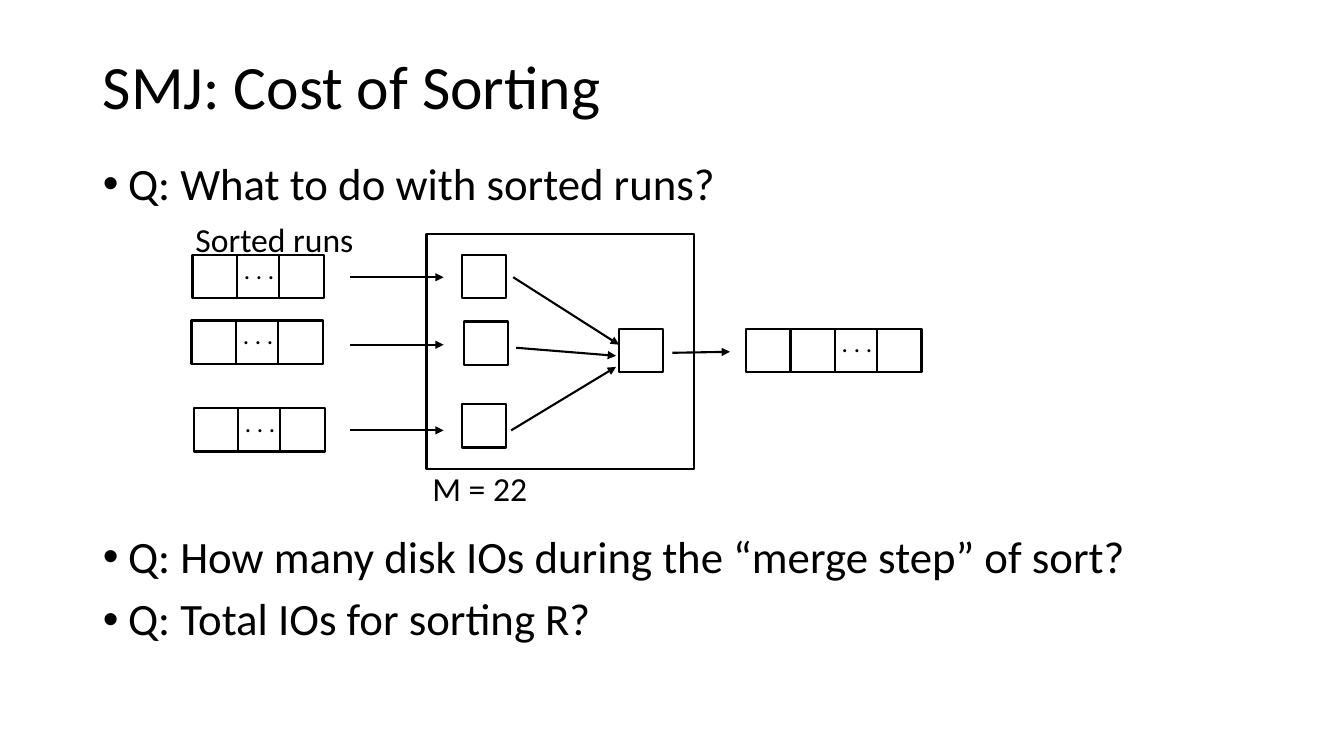
"""Build the slide on the cost of sorting in a sort-merge join."""
from dataclasses import dataclass

from lxml.etree import SubElement
from pptx import Presentation
from pptx.dml.color import RGBColor
from pptx.enum.shapes import MSO_CONNECTOR as Conn, MSO_SHAPE as Shape
from pptx.enum.text import MSO_ANCHOR as Anchor, MSO_AUTO_SIZE as Fit, PP_ALIGN as Align
from pptx.oxml.ns import qn
from pptx.slide import Slide
from pptx.text.text import TextFrame
from pptx.util import Inches, Pt

COLORS = {"ink": "000000", "paper": "FFFFFF"}
FONT = "Calibri"
CELL_W, CELL_H = 0.44, 0.43


@dataclass(frozen=True)
class Box:
    x: float
    y: float
    w: float = CELL_W
    h: float = CELL_H
    filled: bool = False


@dataclass(frozen=True)
class Run:
    x: float
    y: float
    cells: int = 3


@dataclass(frozen=True)
class Arrow:
    x1: float
    y1: float
    x2: float
    y2: float


@dataclass(frozen=True)
class Label:
    text: str
    x: float
    y: float
    w: float
    h: float = 0.5
    size: int = 24


FRAME = Box(4.23, 2.32, 2.65, 2.33)
RUNS = [Run(1.91, 2.53), Run(1.9, 3.18), Run(1.92, 4.05), Run(7.4, 3.26, 4)]
BUFFERS = [Box(4.58, 2.53), Box(4.6, 3.19), Box(4.58, 4.01), Box(6.14, 3.26)]
LABELS = [Label("M = 22", 4.19, 4.59, 1.15), Label("Sorted runs", 1.84, 2.12, 1.78)]
ARROWS = [Arrow(3.47, y, 4.4, y) for y in (2.75, 3.42, 4.27)] + [
    Arrow(5.09, 2.75, 6.14, 3.42),
    Arrow(5.12, 3.45, 6.11, 3.53),
    Arrow(5.07, 4.27, 6.11, 3.64),
    Arrow(6.67, 3.5, 7.24, 3.49),
]
QUESTIONS = [
    ("Q: What to do with sorted runs?", 10),
    ("Q: How many disk IOs during the “merge step” of sort?", 232),
    ("Q: Total IOs for sorting R?", 10),
]


def rgb(name: str) -> RGBColor:
    """Return a named colour."""
    return RGBColor.from_string(COLORS[name])


def write(tf: TextFrame, text: str, *, size: int, first: bool = True,
          spacing: float = 1.0, before: float = 0, bullet: bool = False) -> None:
    """Write one left-aligned paragraph."""
    p = tf.paragraphs[0] if first else tf.add_paragraph()
    p.alignment = Align.LEFT
    p.line_spacing = spacing
    p.space_before = Pt(before)
    if bullet:
        pPr = p._p.get_or_add_pPr()
        pPr.set("marL", str(Inches(0.25)))
        pPr.set("indent", str(Inches(-0.25)))
        SubElement(pPr, qn("a:buFont"), typeface="Arial")
        SubElement(pPr, qn("a:buChar"), char="•")
    r = p.add_run()
    r.text = text
    r.font.name = FONT
    r.font.size = Pt(size)
    r.font.color.rgb = rgb("ink")


def place(sp, x: float, y: float, w: float, h: float) -> TextFrame:
    """Move a placeholder and return its text frame."""
    sp.left, sp.top, sp.width, sp.height = map(Inches, (x, y, w, h))
    tf = sp.text_frame
    tf.word_wrap = True
    tf.auto_size = Fit.NONE
    return tf


def add_box(s: Slide, box: Box) -> None:
    """Draw an outlined rectangle."""
    sp = s.shapes.add_shape(Shape.RECTANGLE, *map(Inches, (box.x, box.y, box.w, box.h)))
    sp.shadow.inherit = False
    if box.filled:
        sp.fill.solid()
        sp.fill.fore_color.rgb = rgb("paper")
    else:
        sp.fill.background()
    sp.line.color.rgb = rgb("ink")
    sp.line.width = Pt(1.5)


def add_label(s: Slide, label: Label) -> None:
    """Draw a one-line text box."""
    sp = s.shapes.add_textbox(*map(Inches, (label.x, label.y, label.w, label.h)))
    tf = sp.text_frame
    tf.word_wrap = False
    tf.auto_size = Fit.SHAPE_TO_FIT_TEXT
    write(tf, label.text, size=label.size)


def add_run_of_pages(s: Slide, run: Run) -> None:
    """Draw a row of page cells with dots in the last but one."""
    for i in range(run.cells):
        overlap = 0.02 if i == run.cells - 1 else 0
        add_box(s, Box(run.x + i * CELL_W - overlap, run.y, filled=True))
    dots_x = run.x + (run.cells - 2) * CELL_W - 0.03
    add_label(s, Label(". . .", dots_x, run.y - 0.06, 0.51, 0.4, 18))


def add_arrow(s: Slide, arrow: Arrow) -> None:
    """Draw a straight arrow."""
    ends = map(Inches, (arrow.x1, arrow.y1, arrow.x2, arrow.y2))
    cxn = s.shapes.add_connector(Conn.STRAIGHT, *ends)
    cxn.line.color.rgb = rgb("ink")
    cxn.line.width = Pt(1.5)
    SubElement(cxn.line._get_or_add_ln(), qn("a:tailEnd"), type="triangle")
    SubElement(cxn._element.spPr, qn("a:effectLst"))


def main() -> None:
    """Build and save the slide."""
    prs = Presentation()
    prs.slide_width, prs.slide_height = Inches(13.33), Inches(7.5)
    s = prs.slides.add_slide(prs.slide_layouts[1])

    tf = place(s.shapes.title, 0.92, 0.4, 11.5, 0.97)
    tf.vertical_anchor = Anchor.MIDDLE
    write(tf, "SMJ: Cost of Sorting", size=44, spacing=0.9)

    tf = place(s.placeholders[1], 0.92, 1.55, 11.5, 5.63)
    for i, (text, before) in enumerate(QUESTIONS):
        write(tf, text, size=32, first=i == 0, spacing=0.9, before=before, bullet=True)

    add_box(s, FRAME)
    for run in RUNS:
        add_run_of_pages(s, run)
    for box in BUFFERS:
        add_box(s, box)
    for label in LABELS:
        add_label(s, label)
    for arrow in ARROWS:
        add_arrow(s, arrow)
    prs.save("out.pptx")


if __name__ == "__main__":
    main()
